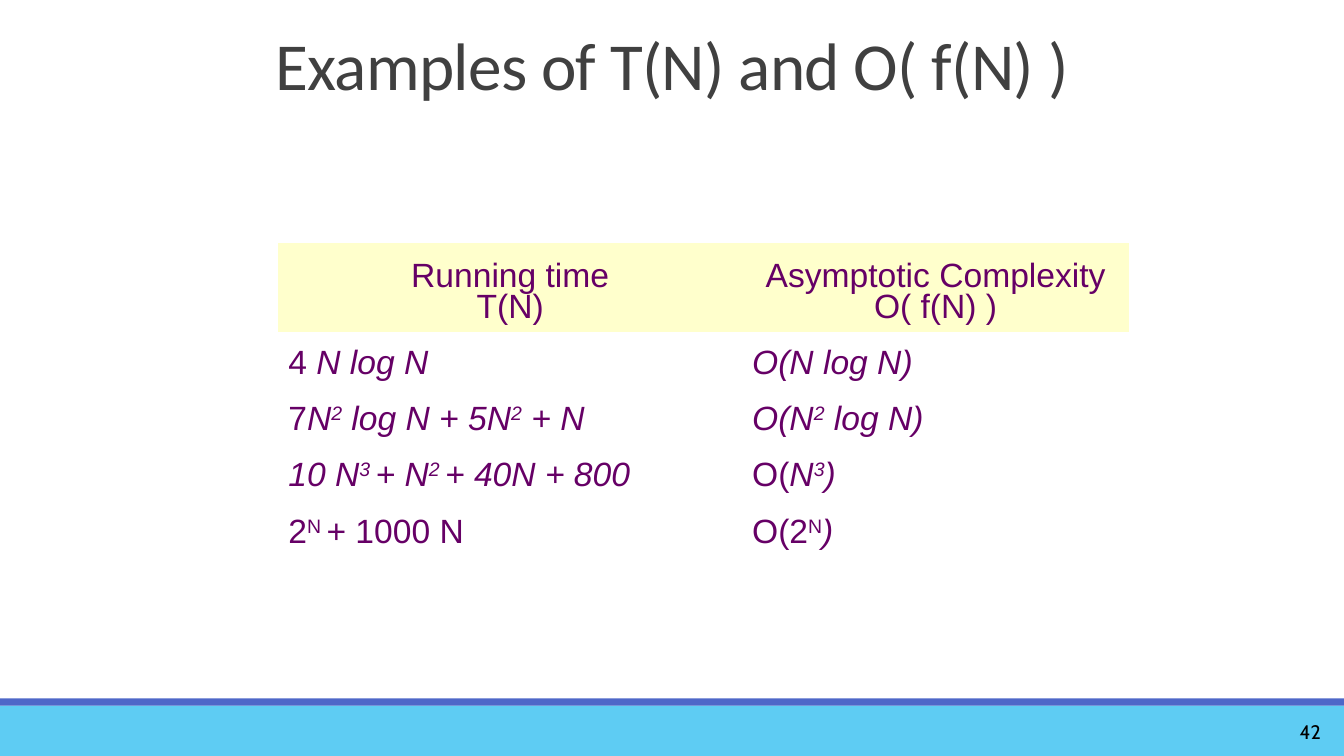
from pptx import Presentation
from pptx.dml.color import RGBColor
from pptx.enum import shapes, text
from pptx.util import Inches, Pt

SKY = RGBColor(0x5E, 0xCC, 0xF3)
BLUE = RGBColor(0x4E, 0x67, 0xC8)
GREY = RGBColor(0x40, 0x40, 0x40)
PLUM = RGBColor(0x66, 0x00, 0x66)
CREAM = RGBColor(0xFF, 0xFF, 0xCC)
BLACK = RGBColor(0, 0, 0)
WIDTH = 13.33
PLAIN_GRID = "{2D5ABB26-0587-4C30-8999-92F81FD0307C}"

HEADS = [("Running time", "T(N)"), ("Asymptotic Complexity", "O( f(N) )")]
# Each run is (style, words): i is italic, s is superscript.
ROWS = [
    ([("", "4 "), ("i", "N log N")],
     [("i", "O(N log N)")]),
    ([("", "7"), ("i", "N"), ("is", "2"), ("i", " log N + 5N"), ("is", "2"), ("i", " + N")],
     [("i", "O(N"), ("is", "2"), ("i", " log N)")]),
    ([("i", "10 N"), ("is", "3 "), ("i", "+ N"), ("is", "2 "), ("i", "+ 40N + 800")],
     [("", "O("), ("i", "N"), ("is", "3"), ("i", ")")]),
    ([("", "2"), ("s", "N "), ("", "+ 1000 N")],
     [("", "O(2"), ("s", "N"), ("i", ")")]),
]


def set_font(para, name, size, color):
    """Set the font of a whole paragraph."""
    font = para.font
    font.name, font.size = name, Pt(size)
    font.color.rgb = color


def add_label(slide, box, words, anchor, align):
    """Add a one-line text box and return its paragraph."""
    frame = slide.shapes.add_textbox(*map(Inches, box)).text_frame
    frame.word_wrap = True
    frame.vertical_anchor = anchor
    para = frame.paragraphs[0]
    para.alignment = align
    para.add_run().text = words
    return para


def add_title(slide, box):
    """Add the slide title in the given box."""
    para = add_label(slide, box, "Examples of T(N) and O( f(N) )",
                     text.MSO_ANCHOR.BOTTOM, text.PP_ALIGN.CENTER)
    para.line_spacing = 0.85
    set_font(para, "Calibri", 48, GREY)
    para.runs[0]._r.get_or_add_rPr().set("spc", "-50")


def add_footer(slide, box):
    """Add the footer band, its top stripe and the page number."""
    left, top, width, height = box
    stripe = 0.07
    for y, tall, color in ((top, height, SKY), (top - stripe, stripe, BLUE)):
        band = slide.shapes.add_shape(shapes.MSO_SHAPE.RECTANGLE,
                                      *map(Inches, (left, y, width, tall)))
        band.shadow.inherit = False
        band.fill.solid()
        band.fill.fore_color.rgb = color
        band.line.fill.background()
    para = add_label(slide, (left + width - 1.56, top + 0.06, 1.43, 0.4), "42",
                     text.MSO_ANCHOR.MIDDLE, text.PP_ALIGN.RIGHT)
    set_font(para, "Cabin", 14, BLACK)


def fill_cell(cell, lines, align=None):
    """Write lines of styled runs into a table cell."""
    cell.margin_left = cell.margin_right = Inches(0.1)
    cell.margin_top, cell.margin_bottom = Inches(0.18), Inches(0.05)
    frame = cell.text_frame
    for i, line in enumerate(lines):
        para = frame.add_paragraph() if i else frame.paragraphs[0]
        para.alignment = align
        para.line_spacing = 0.81
        set_font(para, "Arial", 24, PLUM)
        for style, words in line:
            run = para.add_run()
            run.text = words
            if "i" in style:
                run.font.italic = True
            if "s" in style:
                run._r.get_or_add_rPr().set("baseline", "30000")


def add_grid(slide, box):
    """Add the table of running times and complexities."""
    table = slide.shapes.add_table(len(ROWS) + 1, len(HEADS), *map(Inches, box)).table
    table.first_row = table.horz_banding = False
    table._tbl.tblPr[0].text = PLAIN_GRID
    for col, width in zip(table.columns, (4.6, box[2] - 4.6)):
        col.width = Inches(width)
    for i, row in enumerate(table.rows):
        row.height = Inches(0.56 if i else 0.88)
    for c, head in enumerate(HEADS):
        cell = table.cell(0, c)
        cell.fill.solid()
        cell.fill.fore_color.rgb = CREAM
        cell.vertical_anchor = text.MSO_ANCHOR.MIDDLE
        fill_cell(cell, [[("", words)] for words in head], text.PP_ALIGN.CENTER)
    for r, row in enumerate(ROWS, 1):
        for c, runs in enumerate(row):
            cell = table.cell(r, c)
            cell.fill.background()
            fill_cell(cell, [runs])


def main():
    """Build and save the slide."""
    deck = Presentation()
    deck.slide_width, deck.slide_height = Inches(WIDTH), Inches(7.5)
    slide = deck.slides.add_slide(deck.slide_layouts[6])
    add_footer(slide, (0, 7, WIDTH, 0.5))
    add_title(slide, (0, 0, WIDTH, 1.08))
    add_grid(slide, (2.76, 2.41, 8.44, 3.12))
    deck.save("out.pptx")


if __name__ == "__main__":
    main()
